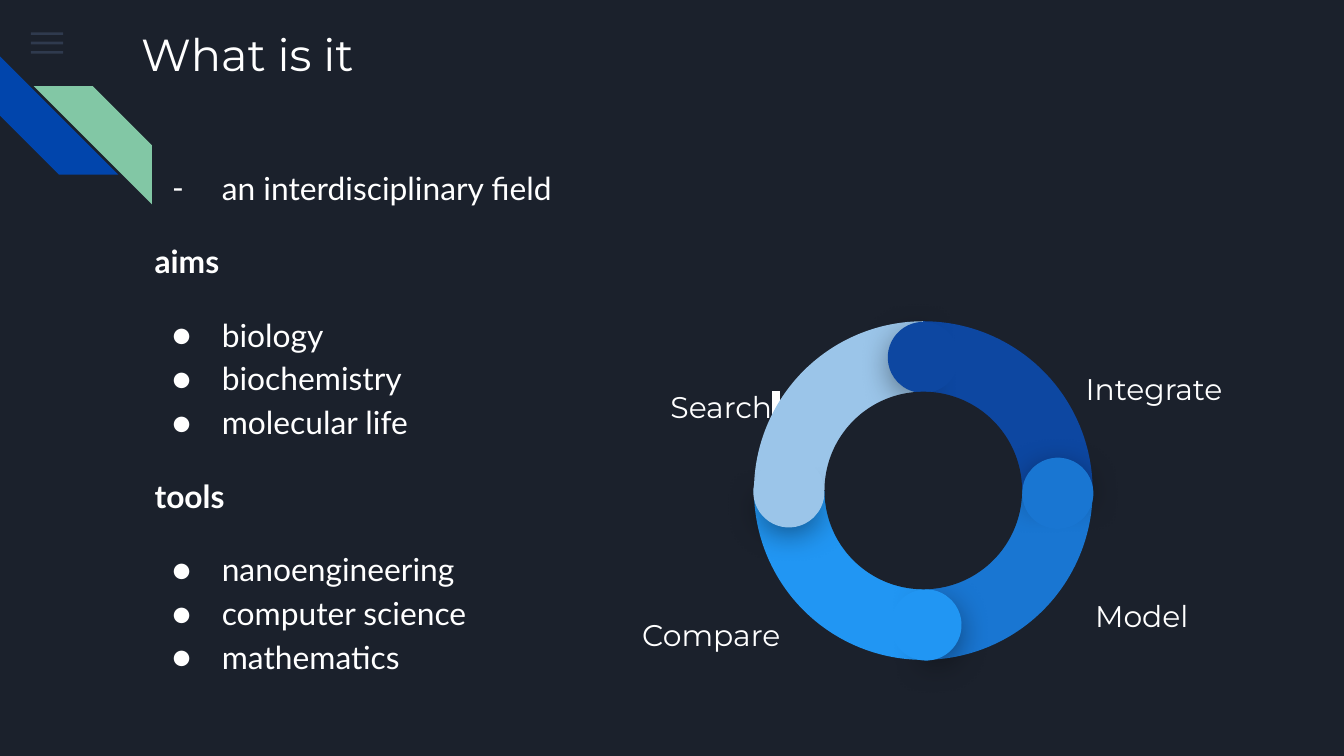
import pptx
import pptx.dml.color
import pptx.enum.shapes
import pptx.enum.text
import pptx.oxml
import pptx.oxml.ns
import pptx.util
from pptx.util import Inches

RGBColor = pptx.dml.color.RGBColor
SHAPE = pptx.enum.shapes.MSO_SHAPE
ANCHOR = pptx.enum.text.MSO_ANCHOR
NAMESPACE = pptx.oxml.ns.nsdecls("a")

NIGHT = RGBColor(0x1B, 0x21, 0x2C)
WHITE = RGBColor(0xFF, 0xFF, 0xFF)
INK = RGBColor(0x22, 0x22, 0x22)
SLATE = RGBColor(0x55, 0x68, 0x8B)
COBALT = RGBColor(0x01, 0x45, 0xAC)
MINT = RGBColor(0x82, 0xC7, 0xA5)
SKY = RGBColor(0x9B, 0xC5, 0xE9)
NAVY = RGBColor(0x0D, 0x47, 0xA1)
BLUE = RGBColor(0x19, 0x76, 0xD2)
AZURE = RGBColor(0x21, 0x96, 0xF3)

LIST_ITEMS = [
    ("an interdisciplinary field", "-", 0),
    ("aims", None, 16),
    ("biology", "●", 16),
    ("biochemistry", "●", 0),
    ("molecular life", "●", 0),
    ("tools", None, 16),
    ("nanoengineering", "●", 16),
    ("computer science", "●", 0),
    ("mathematics", "●", 0),
]
RING_PARTS = [
    (SKY, 0, 5.87, 3.66),
    (NAVY, 90, 6.87, 2.66),
    (BLUE, 180, 7.87, 3.67),
    (AZURE, 270, 6.89, 4.65),
]
RING_CENTER = (6.87, 3.65)
LABELS = [
    ("Search", 4.89, 2.77, 1.42),
    ("Compare\v", 4.68, 4.6, 1.42),
    ("Integrate", 7.98, 2.69, None),
    ("Model\v", 8.05, 4.46, 1.42),
]


def xml(text):
    return pptx.oxml.parse_xml(text)


class SlideBuilder:
    """Holds the style and the current slide, and adds each kind of element."""

    heading_font = "Montserrat"
    body_font = "Lato"

    def __init__(self, presentation):
        self.slide = presentation.slides.add_slide(presentation.slide_layouts[1])
        self.slide.background.fill.solid()
        self.slide.background.fill.fore_color.rgb = NIGHT

    def style(self, font, name, size, color=WHITE, bold=False):
        font.name = name
        font.size = pptx.util.Pt(size)
        font.bold = bold
        font.color.rgb = color

    def frame(self, shape, left, top, width, height, anchor):
        shape.left, shape.top = Inches(left), Inches(top)
        shape.width, shape.height = Inches(width), Inches(height)
        text_frame = shape.text_frame
        text_frame.word_wrap = True
        text_frame.auto_size = pptx.enum.text.MSO_AUTO_SIZE.NONE
        text_frame.vertical_anchor = anchor
        text_frame.margin_left = text_frame.margin_right = Inches(0.1)
        text_frame.margin_top = text_frame.margin_bottom = Inches(0.1)
        return text_frame

    def title(self, text):
        text_frame = self.frame(self.slide.shapes.title, 0.95, 0.1, 7.7, 0.53, ANCHOR.TOP)
        text_frame.text = text
        paragraph = text_frame.paragraphs[0]
        paragraph.alignment = pptx.enum.text.PP_ALIGN.LEFT
        self.style(paragraph.font, self.heading_font, 24)

    def bullet(self, paragraph, mark):
        properties = paragraph._p.get_or_add_pPr()
        properties.set("marL", str(Inches(0.5 if mark else 0)))
        properties.set("indent", str(Inches(-0.37 if mark else 0)))
        if not mark:
            properties.append(xml(f"<a:buNone {NAMESPACE}/>"))
            return
        properties.append(xml(f'<a:buClr {NAMESPACE}><a:srgbClr val="{WHITE}"/></a:buClr>'))
        properties.append(xml(f'<a:buFont {NAMESPACE} typeface="{self.body_font}"/>'))
        properties.append(xml(f'<a:buChar {NAMESPACE} char="{mark}"/>'))

    def body(self, items):
        text_frame = self.frame(self.slide.placeholders[1], 1.05, 1.11, 3.28, 2.06, ANCHOR.TOP)
        text_frame.text = "\n".join(text for text, _, _ in items)
        for paragraph, (_, mark, space) in zip(text_frame.paragraphs, items):
            self.bullet(paragraph, mark)
            paragraph.line_spacing = 1.15
            paragraph.space_before = pptx.util.Pt(space)
            self.style(paragraph.font, self.body_font, 17, bold=mark is None)

    def label(self, text, left, top, spacing):
        box = self.slide.shapes.add_textbox(0, 0, 0, 0)
        text_frame = self.frame(box, left, top, 1.68, 0.4, ANCHOR.MIDDLE)
        text_frame.text = text
        paragraph = text_frame.paragraphs[0]
        if spacing:
            paragraph.line_spacing = spacing
            paragraph.space_after = pptx.util.Pt(12)
        self.style(paragraph.font, self.heading_font, 16)
        return paragraph

    def cursor(self, paragraph):
        run = paragraph.add_run()
        run.text = " "
        self.style(run.font, "Arial", 16, INK)
        highlight = xml(f'<a:highlight {NAMESPACE}><a:srgbClr val="{WHITE}"/></a:highlight>')
        run._r.rPr.find(pptx.oxml.ns.qn("a:solidFill")).addnext(highlight)

    def shape(self, kind, left, top, width, height, color, rotation=0, adjustments=()):
        shape = self.slide.shapes.add_shape(
            kind, Inches(left), Inches(top), Inches(width), Inches(height))
        shape.shadow.inherit = False
        shape.fill.solid()
        shape.fill.fore_color.rgb = color
        shape.line.fill.background()
        shape.rotation = rotation
        for index, value in enumerate(adjustments):
            shape.adjustments[index] = value
        return shape

    def round_shape(self, kind, center, size, color, rotation=0, adjustments=()):
        left, top = (position - size / 2 for position in center)
        return self.shape(kind, left, top, size, size, color, rotation, adjustments)

    def cast_shadow(self, shape):
        effects = shape._element.spPr.find(pptx.oxml.ns.qn("a:effectLst"))
        effects.append(xml(
            f'<a:outerShdw {NAMESPACE} blurRad="{pptx.util.Pt(18)}" dist="{pptx.util.Pt(4)}" '
            'dir="5400000" algn="bl" rotWithShape="0">'
            '<a:srgbClr val="000000"><a:alpha val="55000"/></a:srgbClr></a:outerShdw>'))

    def menu_icon(self):
        for row in range(3):
            bar = self.shape(SHAPE.RECTANGLE, 0.23, 0.24 + 0.07 * row, 0.24, 0.02, SLATE)
            color = bar._element.spPr.find(".//" + pptx.oxml.ns.qn("a:srgbClr"))
            color.append(xml(f'<a:alpha {NAMESPACE} val="36000"/>'))

    def stripes(self):
        self.shape(SHAPE.DIAGONAL_STRIPE, 0, 0.42, 0.88, 0.88, COBALT, 270, [0.5])
        mint = self.shape(SHAPE.DIAGONAL_STRIPE, 0.25, 0.64, 0.88, 0.88, MINT, 0, [0.5])
        mint._element.spPr.xfrm.set("flipH", "1")

    def ring(self, parts):
        for color, turn, _, _ in parts:
            self.round_shape(SHAPE.PIE, RING_CENTER, 2.52, color, turn, [107.96, 162.01])
        for color, turn, x, y in parts:
            cap = self.round_shape(
                SHAPE.PIE, (x, y), 0.47, color, (turn + 39.5) % 360, [189.54, 83.81])
            self.cast_shadow(cap)
            self.round_shape(SHAPE.CHORD, (x, y), 0.53, color, turn + 4.1, [25.01, 18.12])
        self.round_shape(SHAPE.OVAL, RING_CENTER, 1.47, NIGHT)


def main():
    presentation = pptx.Presentation()
    presentation.slide_width = Inches(10)
    presentation.slide_height = presentation.slide_width * 9 // 16
    builder = SlideBuilder(presentation)
    builder.menu_icon()
    builder.stripes()
    builder.title("What is it")
    builder.body(LIST_ITEMS)
    labels = [builder.label(*label) for label in LABELS]
    builder.cursor(labels[0])
    builder.ring(RING_PARTS)
    presentation.save("out.pptx")


if __name__ == "__main__":
    main()
